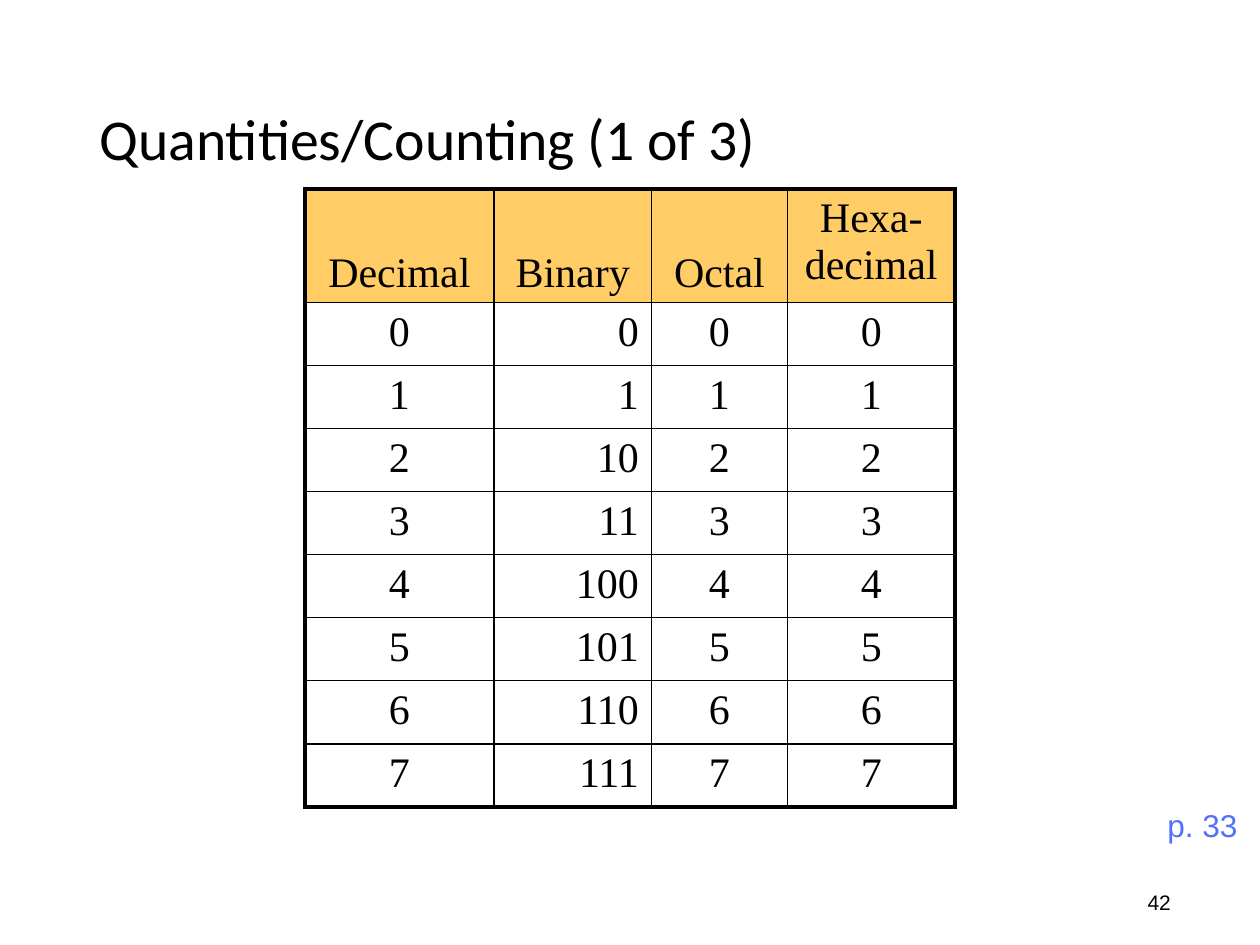
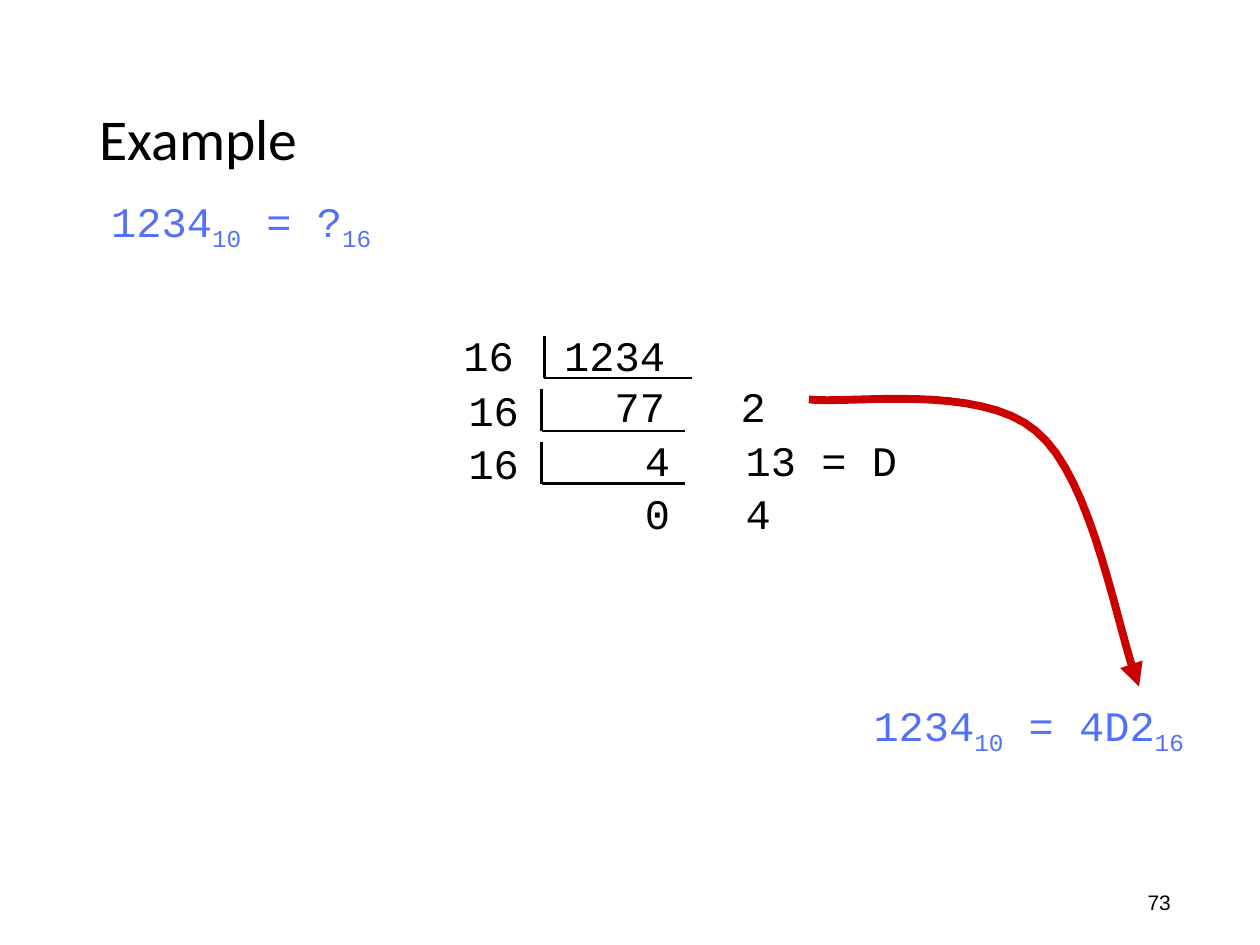
from lxml import etree
from pptx import Presentation
from pptx.dml.color import RGBColor
from pptx.enum.shapes import MSO_CONNECTOR
from pptx.enum.text import MSO_ANCHOR, PP_ALIGN
from pptx.oxml.ns import qn
from pptx.util import Inches, Pt

LEFT, CENTER, RIGHT = PP_ALIGN.LEFT, PP_ALIGN.CENTER, PP_ALIGN.RIGHT
TOP, MIDDLE, BOTTOM = MSO_ANCHOR.TOP, MSO_ANCHOR.MIDDLE, MSO_ANCHOR.BOTTOM
STRAIGHT = MSO_CONNECTOR.STRAIGHT

COLORS = {"text": "000000", "accent": "5271FB", "header": "FFCC66", "arrow": "CC0000"}
MONO = "Courier New"

# Counting slide
HEADERS = ["Decimal", "Binary", "Octal", "Hexa-\vdecimal"]
COUNTS = [[f"{n}", f"{n:b}", f"{n:o}", f"{n:X}"] for n in range(8)]
COLUMN_WIDTHS = [1.5, 1.25, 1.08, 1.33]
ROW_HEIGHTS = [0.9] + [0.5] * 7 + [0.49]
TABLE_AT = (2.42, 1.5)
THICK, THIN = 2.25, 1

# Example slide: (value, is subscript)
QUESTION = [("1234", False), ("10", True), (" = ?", False), ("16", True)]
ANSWER = [("1234", False), ("10", True), (" = 4D2", False), ("16", True)]
# One box for each step: place, then lines of divisor, quotient and remainder
DIVISION_STEPS = [
    ((3.58, 2.57, 2.7, 0.9), ["16\t1234", "\t77\t2"]),
    ((3.62, 3.0, 3.88, 0.9), ["16", "\t4\t13 = D"]),
    ((3.62, 3.42, 3.88, 0.9), ["16", "\t0\t4"]),
]
DIVISION_TABS = [("r", 1.6), ("l", 2.2)]
BRACKETS = [(4.32, 3.0, 5.49), (4.3, 3.42, 5.44), (4.3, 3.84, 5.44)]  # left, bottom, right
BRACKET_HEIGHT = 0.33
ARROW_START = (6.42, 3.17)
ARROW_CURVES = [
    [(6.72, 3.21), (7.78, 3.04), (8.22, 3.42)],
    [(8.68, 3.79), (8.87, 5.03), (9.04, 5.45)],
]
CURVE_STEPS = 16


def rgb(name):
    return RGBColor.from_string(COLORS[name])


def write(frame, lines, size=24, font="Times New Roman", color="text", align=LEFT,
          line_spacing=None, tabs=()):
    """Fill a text frame; a line is a string or a list of (text, is subscript)."""
    for index, line in enumerate(lines):
        para = frame.paragraphs[0] if index == 0 else frame.add_paragraph()
        para.alignment = align
        if line_spacing:
            para.line_spacing = line_spacing
        if tabs:
            tab_list = etree.SubElement(para._p.get_or_add_pPr(), qn("a:tabLst"))
            for side, position in tabs:
                etree.SubElement(tab_list, qn("a:tab"), pos=str(Inches(position)), algn=side)
        for text, subscript in [(line, False)] if isinstance(line, str) else line:
            for part_index, part in enumerate(text.split("\v")):
                if part_index:
                    para.add_line_break()
                span = para.add_run()
                span.text = part
                span.font.size = Pt(size)
                span.font.name = font
                span.font.color.rgb = rgb(color)
                if subscript:
                    span._r.get_or_add_rPr().set("baseline", "-25000")


def add_text(page, place, lines, anchor=TOP, wrap=True, **text_format):
    box = page.shapes.add_textbox(*map(Inches, place))
    box.text_frame.word_wrap = wrap
    box.text_frame.vertical_anchor = anchor
    write(box.text_frame, lines, **text_format)


def add_page(deck, title, number):
    page = deck.slides.add_slide(deck.slide_layouts[6])
    add_text(page, (9.01, 7.01, 0.4, 0.3), [number], wrap=False, size=12, font="Arial")
    add_text(page, (0.69, 0.4, 8.62, 1.45), [title], anchor=MIDDLE, size=33,
             font="Calibri", line_spacing=0.9)
    return page


def set_borders(cell, widths):
    properties = cell._tc.get_or_add_tcPr()
    for side, width in widths.items():
        line = etree.SubElement(properties, qn(f"a:ln{side}"), w=str(Pt(width)))
        fill = etree.SubElement(line, qn("a:solidFill"))
        etree.SubElement(fill, qn("a:srgbClr"), val=COLORS["text"])


def add_count_table(page):
    rows = [HEADERS] + COUNTS
    last_row, last_column = len(rows) - 1, len(HEADERS) - 1
    size = (sum(COLUMN_WIDTHS), sum(ROW_HEIGHTS))
    table = page.shapes.add_table(len(rows), len(HEADERS),
                                  *map(Inches, TABLE_AT + size)).table
    table.first_row = table.horz_banding = False
    for column, width in zip(table.columns, COLUMN_WIDTHS):
        column.width = Inches(width)
    for row, height in zip(table.rows, ROW_HEIGHTS):
        row.height = Inches(height)
    for r, values in enumerate(rows):
        for c, value in enumerate(values):
            cell = table.cell(r, c)
            set_borders(cell, {
                "L": THICK if c == 0 else THIN,
                "R": THICK if c == last_column else THIN,
                "T": THICK if r == 0 else THIN,
                "B": THICK if r == last_row else THIN,
            })
            if r == 0:
                cell.fill.solid()
                cell.fill.fore_color.rgb = rgb("header")
            else:
                cell.fill.background()
            cell.vertical_anchor = BOTTOM if r == 0 and c < last_column else TOP
            write(cell.text_frame, [value], align=RIGHT if r and c == 1 else CENTER)


def add_line(page, *ends):
    line = page.shapes.add_connector(STRAIGHT, *map(Inches, ends))
    line.line.color.rgb = rgb("text")
    line.line.width = Pt(1.5)
    etree.SubElement(line._element.spPr, qn("a:effectLst"))


def curve_points(start, curves):
    """Points along joined cubic Bezier curves, after the start."""
    points = []
    for first, second, end in curves:
        for step in range(1, CURVE_STEPS + 1):
            t = step / CURVE_STEPS
            weights = ((1 - t) ** 3, 3 * t * (1 - t) ** 2, 3 * t * t * (1 - t), t ** 3)
            corners = (start, first, second, end)
            points.append(tuple(
                Inches(sum(w * corner[axis] for w, corner in zip(weights, corners)))
                for axis in (0, 1)))
        start = end
    return points


def add_curved_arrow(page):
    builder = page.shapes.build_freeform(*map(Inches, ARROW_START))
    builder.add_line_segments(curve_points(ARROW_START, ARROW_CURVES), close=False)
    arrow = builder.convert_to_shape()
    arrow.shadow.inherit = False
    arrow.fill.background()
    arrow.line.color.rgb = rgb("arrow")
    arrow.line.width = Pt(4.5)
    etree.SubElement(arrow.line._get_or_add_ln(), qn("a:tailEnd"), type="triangle")


def build_counting(deck):
    page = add_page(deck, "Quantities/Counting (1 of 3)", "42")
    add_count_table(page)
    add_text(page, (8.75, 6.35, 1.17, 0.4), ["p. 33"], size=18, font="Arial",
             color="accent", align=RIGHT)


def build_example(deck):
    page = add_page(deck, "Example", "73")
    for place, equation in [((0.33, 1.5), QUESTION), ((6.58, 5.5), ANSWER)]:
        add_text(page, place + (3.17, 0.5), [equation], font=MONO, color="accent",
                 align=CENTER)
    add_curved_arrow(page)
    for place, lines in DIVISION_STEPS:
        add_text(page, place, lines, font=MONO, tabs=DIVISION_TABS)
    for left, bottom, right in BRACKETS:
        add_line(page, left, bottom - BRACKET_HEIGHT, left, bottom)
        add_line(page, left, bottom, right, bottom)


def main():
    deck = Presentation()
    deck.slide_width, deck.slide_height = Inches(10), Inches(7.5)
    build_counting(deck)
    build_example(deck)
    deck.save("out.pptx")


if __name__ == "__main__":
    main()
